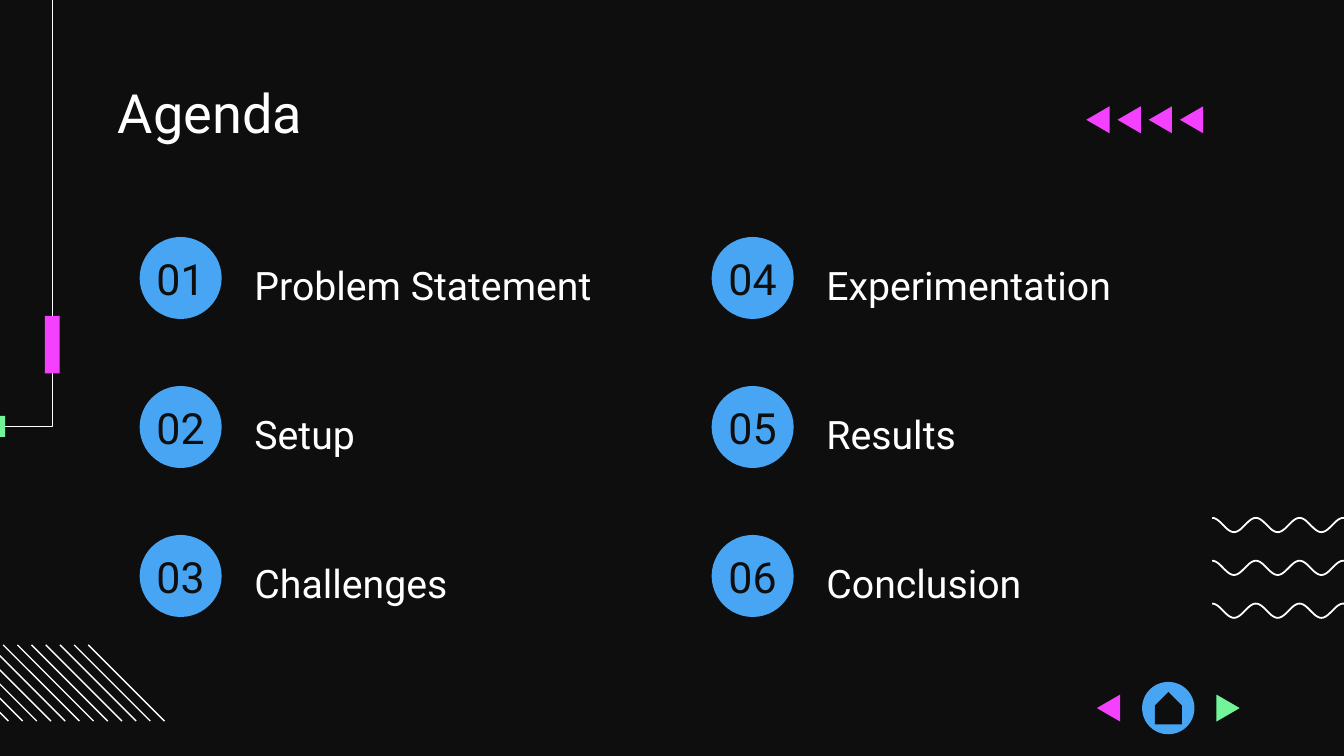
import math

from lxml import etree
from pptx import Presentation
from pptx import util as u
from pptx.dml.color import RGBColor
from pptx.enum import shapes, text
from pptx.oxml.ns import qn

COLORS = {
    "dark": "0E0E0E",
    "white": "FFFFFF",
    "pink": "F341FF",
    "green": "72F49A",
    "blue": "47A5F3",
}
FONT = "Roboto"
TOPICS = ["Problem Statement", "Setup", "Challenges",
          "Experimentation", "Results", "Conclusion"]


def rgb(name):
    return RGBColor.from_string(COLORS[name])


def paint(sp, color):
    sp.shadow.inherit = False
    sp.fill.solid()
    sp.fill.fore_color.rgb = rgb(color)
    sp.line.fill.background()


def add_preset(s, kind, x, y, w, h, color):
    sp = s.shapes.add_shape(kind, u.Cm(x), u.Cm(y), u.Cm(w), u.Cm(h))
    paint(sp, color)
    return sp


def add_outline(s, points, close):
    pts = [(u.Cm(x), u.Cm(y)) for x, y in points]
    builder = s.shapes.build_freeform(*pts[0])
    builder.add_line_segments(pts[1:], close=close)
    return builder.convert_to_shape()


def add_polyline(s, points, weight):
    sp = add_outline(s, points, close=False)
    sp.shadow.inherit = False
    sp.fill.background()
    sp.line.color.rgb = rgb("white")
    sp.line.width = u.Pt(weight)


def add_triangle(s, x, y, w, h, color, right=False):
    tip, base = (x + w, x) if right else (x, x + w)
    paint(add_outline(s, [(base, y), (tip, y + h / 2), (base, y + h)], close=True), color)


def add_text(s, content, x, y, w, h, size, color="white", top=0,
             align=text.PP_ALIGN.LEFT, spacing=None, after=None):
    tf = s.shapes.add_textbox(u.Cm(x), u.Cm(y), u.Cm(w), u.Cm(h)).text_frame
    tf.word_wrap = True
    tf.vertical_anchor = text.MSO_ANCHOR.TOP
    tf.margin_left = tf.margin_right = tf.margin_bottom = u.Cm(0.25)
    tf.margin_top = u.Cm(top)
    p = tf.paragraphs[0]
    p.alignment = align
    if spacing:
        p.line_spacing = spacing
    if after:
        p.space_after = u.Pt(after)
    r = p.add_run()
    r.text = content
    r.font.name = FONT
    r.font.size = u.Pt(size)
    r.font.color.rgb = rgb(color)


def add_waves(s, x, y, w, h, rows=3, halves=7, steps=12):
    amplitude = 0.27
    pitch = (h - amplitude) / (rows - 1)
    total = halves * steps
    for row in range(rows):
        top = y + row * pitch
        points = [(x + w * i / total,
                   top + amplitude * (1 - math.cos(math.pi * i / steps)) / 2)
                  for i in range(total + 1)]
        add_polyline(s, points, 0.95)


def add_hatching(s, x, y, w, h, count=12):
    pitch = (w - h) / (count - 1)
    for i in range(count):
        left = x + i * pitch
        line = s.shapes.add_connector(shapes.MSO_CONNECTOR.STRAIGHT, u.Cm(left), u.Cm(y),
                                      u.Cm(left + h), u.Cm(y + h))
        line.line.color.rgb = rgb("white")
        line.line.width = u.Pt(0.75)
        etree.SubElement(line._element.spPr, qn("a:effectLst"))


def add_side_rail(s, x, y, w, h):
    right, bottom = x + w, y + h
    add_polyline(s, [(x, bottom), (right, bottom), (right, y)], 0.75)
    rectangle = shapes.MSO_SHAPE.RECTANGLE
    add_preset(s, rectangle, -0.3, bottom - 0.2, 0.4, 0.4, "green")
    add_preset(s, rectangle, right - 0.14, 5.97, 0.28, 1.09, "pink")


def add_topic(s, number, topic, x, y):
    add_preset(s, shapes.MSO_SHAPE.OVAL, x + 0.37, y + 0.21, 1.55, 1.55, "blue")
    add_text(s, f"{number:02d}", x, y, 2.29, 1.55, 23, color="dark", top=0.51,
             align=text.PP_ALIGN.CENTER)
    add_text(s, topic, x + 2.29, y + 0.54, 8.03, 1, 21, spacing=1.15, after=12)


def add_agenda(s, x, y, w, h, rows=3, columns=2):
    for i, topic in enumerate(TOPICS):
        column, row = divmod(i, rows)
        add_topic(s, i + 1, topic, x + column * w / columns, y + row * h / rows)


def add_arrow_strip(s, x, y, w, h, count=4):
    size = 0.44
    pitch = (w - size) / (count - 1)
    for i in range(count):
        add_triangle(s, x + i * pitch, y, size, h, "pink")


def add_navigation(s, x, y, w, h):
    arrow_w, arrow_h, home_w, home_h = 0.44, 0.51, 0.61, 0.51
    middle = y + h / 2
    center = x + w / 2
    add_preset(s, shapes.MSO_SHAPE.OVAL, center - h / 2, y, h, h, "blue")
    home = add_preset(s, shapes.MSO_SHAPE.PENTAGON, center - home_w / 2,
                      middle - home_h / 2, home_w, home_h, "dark")
    home.rotation = 270
    top = middle - arrow_h / 2
    add_triangle(s, x, top, arrow_w, arrow_h, "pink")
    add_triangle(s, x + w - arrow_w, top, arrow_w, arrow_h, "green", right=True)


def main():
    prs = Presentation()
    prs.slide_width, prs.slide_height = u.Cm(25.4), u.Cm(14.29)
    s = prs.slides.add_slide(prs.slide_layouts[6])
    s.background.fill.solid()
    s.background.fill.fore_color.rgb = rgb("dark")
    add_waves(s, 22.91, 9.79, 2.89, 1.89)
    add_hatching(s, -1.28, 12.19, 4.39, 1.44)
    add_side_rail(s, -9.98, -0.56, 10.97, 8.62)
    add_text(s, "Agenda", 1.98, 1.5, 21.44, 1.17, 29)
    add_agenda(s, 2.27, 4.27, 21.62, 8.45)
    add_arrow_strip(s, 20.53, 2.01, 2.21, 0.51)
    add_navigation(s, 20.73, 12.89, 2.7, 0.99)
    prs.save("out.pptx")


if __name__ == "__main__":
    main()
